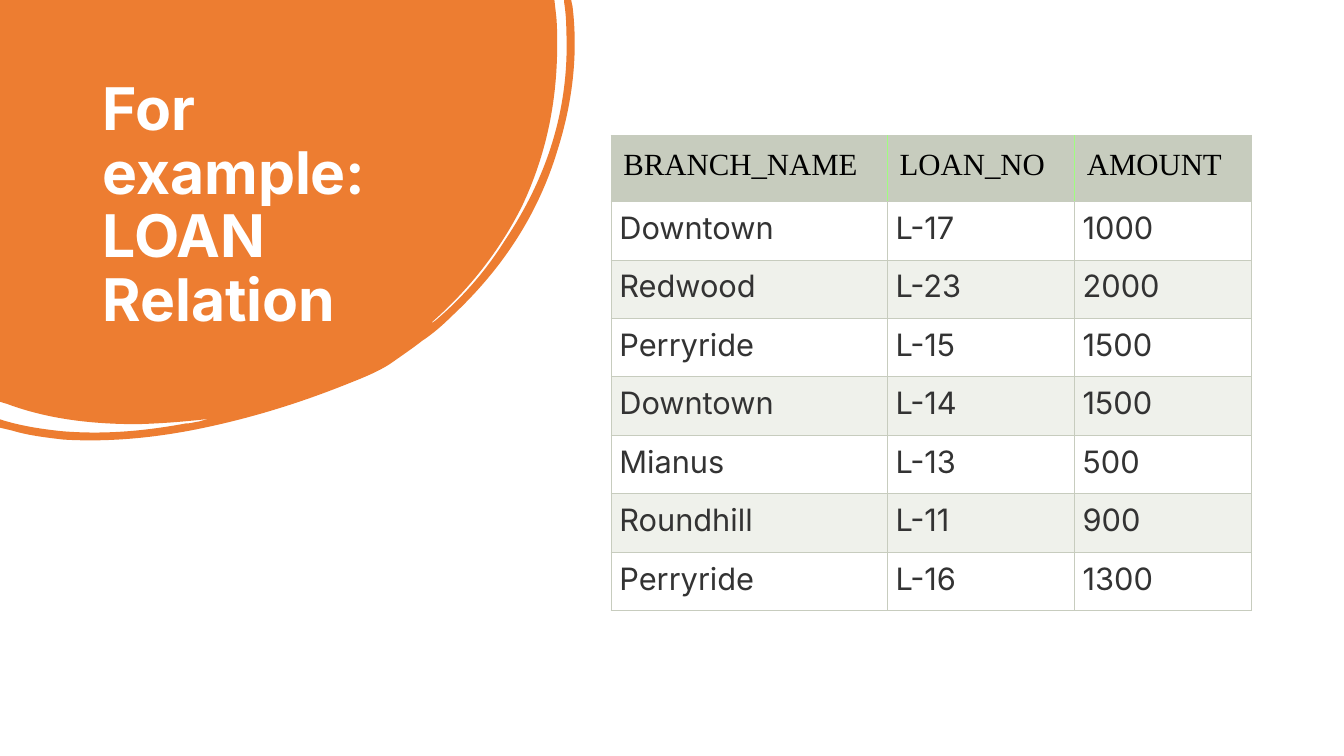
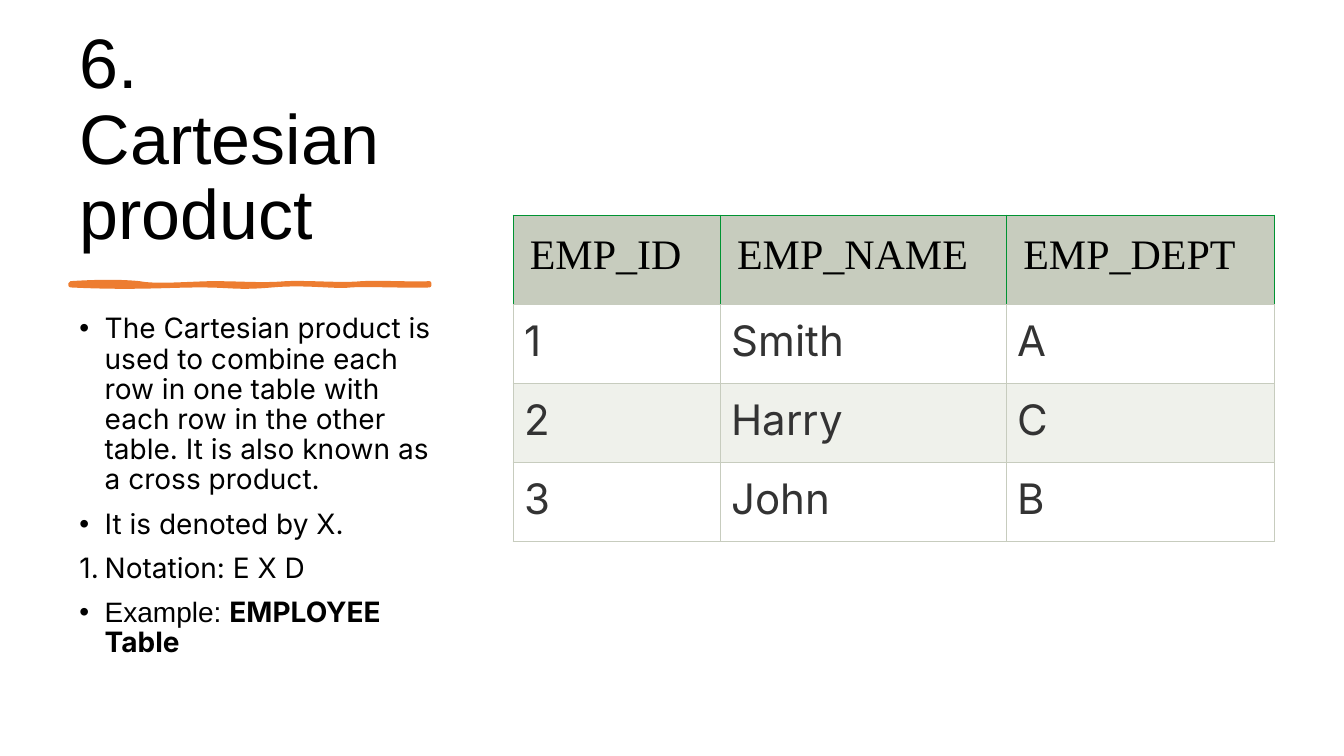
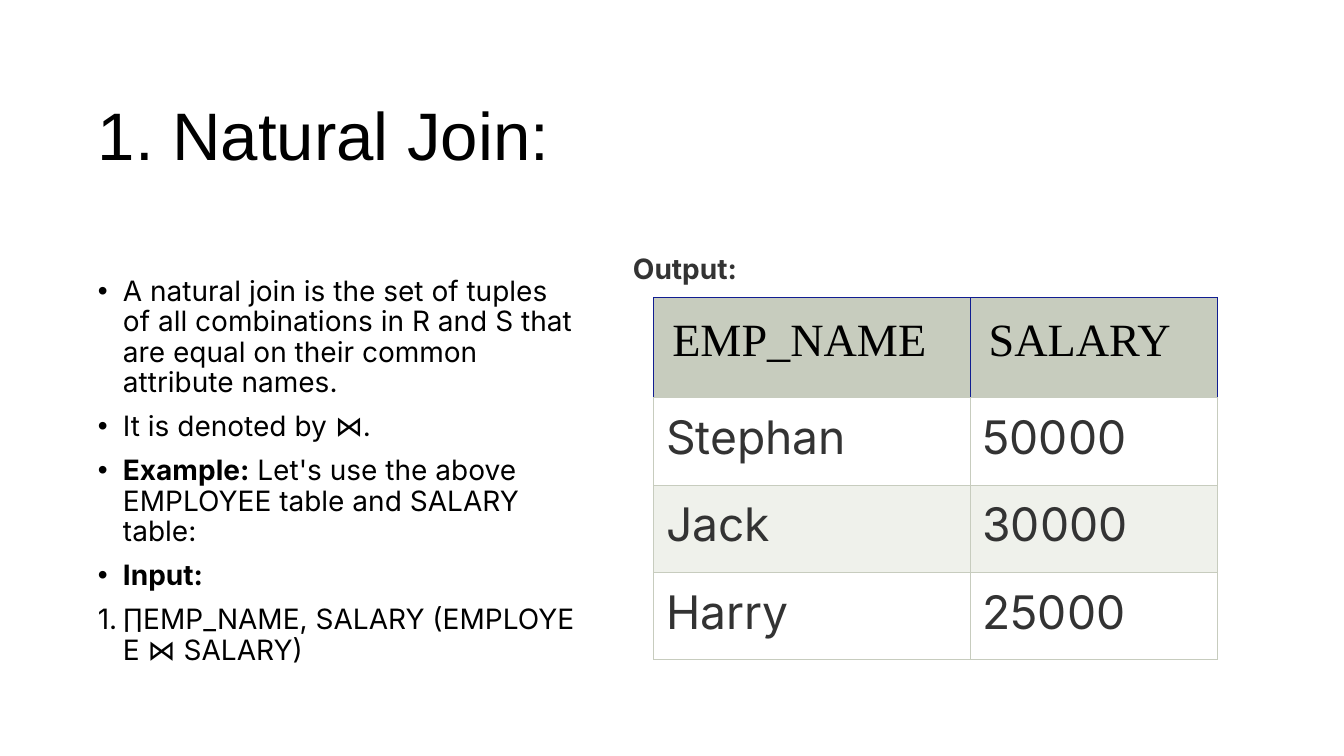
"""Builds three slides on relations, the Cartesian product and the natural join."""
from lxml.etree import SubElement
from pptx import Presentation
from pptx.dml.color import RGBColor
from pptx.enum.shapes import MSO_SHAPE
from pptx.enum.text import MSO_ANCHOR, MSO_AUTO_SIZE, PP_ALIGN
from pptx.oxml.ns import qn
from pptx.util import Pt

ORANGE = RGBColor(0xED, 0x7D, 0x31)
WHITE = RGBColor(0xFF, 0xFF, 0xFF)
BLACK = RGBColor(0, 0, 0)
GREY = RGBColor(0x33, 0x33, 0x33)
SAGE = RGBColor(0xC7, 0xCC, 0xBE)
PALE = RGBColor(0xEF, 0xF1, 0xEB)
LIME = RGBColor(0xA0, 0xFD, 0x80)
GREEN = RGBColor(0x00, 0x93, 0x32)
NAVY = RGBColor(0x10, 0x1D, 0x91)
SANS, ARIAL, SERIF = "Inter", "Arial", "Times New Roman"
HARD = chr(160)

BLOB = [
    (0, 0), (396, 0), (397.4, 12.2),
    (398, 19, 398, 26, 398, 32), (398, 73, 390, 111, 373, 147),
    (357, 179, 335, 207, 307.5, 231), (309, 231, 309.5, 229.5, 311, 229),
    (330.5, 212.5, 347, 193.5, 360.5, 172), (391, 126.5, 407, 77, 404.5, 21.5),
    (404.5, 15, 404, 8.5, 403, 2), (403, 0), (408, 0), (409, 5),
    (413, 39, 409, 73.5, 398, 108), (384, 154, 358, 193, 322.5, 226),
    (316, 232.5, 309, 238.5, 301.5, 243.5), (294.5, 249, 287, 254, 278.5, 260),
    (270, 265.5, 259, 270, 247.5, 274.5), (215, 287.5, 181.5, 298, 146, 305.5),
    (113, 312.5, 79, 316, 45.5, 314), (32.5, 312.5, 20, 311, 8.5, 307.5),
    (0, 305.5), (0, 299.5), (3, 300.5),
    (16.5, 304.5, 30, 306.5, 44, 308), (74, 310.5, 103, 308, 132.5, 302.5),
    (136, 302.5, 139, 301.5, 142.5, 301), (145.5, 300, 148.5, 299.5, 151, 299),
    (134, 301, 116, 302.5, 98, 303), (66, 303, 34.5, 299.5, 5, 288.5), (0, 287),
]
STROKE = [
    (50.4, 202.3),
    (70, 201, 87, 201, 99.4, 202.3), (111.6, 204.5, 127.4, 203, 150.5, 202.3),
    (173.5, 202.3, 187, 203.8, 204.5, 202.3), (222, 201.6, 244, 203.8, 258.5, 202.3),
    (273, 201.6, 296.6, 203, 306.7, 202.3), (306.7, 203.8),
    (293.8, 204.5, 262, 203, 250.6, 203.8), (239, 205.2, 219, 201.6, 194.4, 203.8),
    (169, 206, 166, 203.8, 143.3, 203.8), (119.5, 203.8, 95, 206, 50.4, 203.8),
]


def put(item, **vals):
    """Set each named value on the item."""
    for key, val in vals.items():
        setattr(item, key, val)


def write(para, text, size, name, color, bold=False):
    """Add a run with its font to a paragraph."""
    run = para.add_run()
    run.text = text
    put(run.font, size=Pt(size), name=name, bold=bold)
    run.font.color.rgb = color


def paint(shape, color, width=0):
    """Give a shape a flat fill and an optional line of the same colour."""
    shape.shadow.inherit = False
    shape.fill.solid()
    shape.fill.fore_color.rgb = color
    if width:
        shape.line.color.rgb = color
        shape.line.width = Pt(width)
    else:
        shape.line.fill.background()


def bend(shape, parts):
    """Turn the straight segments that have control points into curves."""
    lines = list(shape.element.iter(qn("a:lnTo")))
    for line, part in zip(lines, parts):
        if len(part) == 2:
            continue
        line.tag = qn("a:cubicBezTo")
        line.clear()
        for x, y in zip(part[::2], part[1::2]):
            SubElement(line, qn("a:pt"), x=str(Pt(x) - shape.left), y=str(Pt(y) - shape.top))


def draw(slide, parts, width=0):
    """Draw an orange outline behind the title."""
    dots = [(Pt(part[-2]), Pt(part[-1])) for part in parts]
    pen = slide.shapes.build_freeform(*dots[0])
    pen.add_line_segments(dots[1:], close=True)
    shape = pen.convert_to_shape()
    bend(shape, parts[1:])
    paint(shape, ORANGE, width)
    slide.shapes.title.element.addprevious(shape.element)


def head(slide, text, box, size, name=ARIAL, color=BLACK, bold=False,
         anchor=MSO_ANCHOR.BOTTOM):
    """Place and format the title."""
    title = slide.shapes.title
    left, top, width, height = map(Pt, box)
    put(title, left=left, top=top, width=width, height=height)
    put(title.text_frame, word_wrap=True, auto_size=MSO_AUTO_SIZE.NONE,
        vertical_anchor=anchor)
    para = title.text_frame.paragraphs[0]
    put(para, alignment=PP_ALIGN.LEFT, line_spacing=0.9)
    write(para, text, size, name, color, bold)


def mark(para, number):
    """Give a paragraph a hanging bullet or number."""
    props = para._p.get_or_add_pPr()
    props.set("marL", str(Pt(18)))
    props.set("indent", str(Pt(-18)))
    if number:
        SubElement(props, qn("a:buAutoNum"), type="arabicPeriod")
    else:
        SubElement(props, qn("a:buFont"), typeface=ARIAL)
        SubElement(props, qn("a:buChar"), char="•")


def points(slide, box, items):
    """Write a list of items, each a number flag and its runs."""
    frame = slide.shapes.add_textbox(*map(Pt, box)).text_frame
    frame.word_wrap = True
    for i, (number, *runs) in enumerate(items):
        para = frame.add_paragraph() if i else frame.paragraphs[0]
        mark(para, number)
        put(para, line_spacing=0.9, space_before=Pt(10 if i else 0))
        for text, name, bold in runs:
            line = text.replace(" ", HARD) if number else text
            write(para, line, 20, name, BLACK, bold)


def edge(cell, colors):
    """Draw the left, right, top and bottom borders of a cell."""
    props = cell._tc.get_or_add_tcPr()
    for i, (side, color) in enumerate(zip("LRTB", colors)):
        line = SubElement(props, qn("a:ln" + side), w=str(Pt(0.6)))
        props.insert(i, line)
        fill = SubElement(line, qn("a:solidFill"))
        SubElement(fill, qn("a:srgbClr"), val=str(color))


def grid(slide, spot, cols, tall, rows, size, pad, rim, seam):
    """Build a table with a tinted head row and striped body rows."""
    heights = [tall[0]] + [tall[1]] * (len(rows) - 1)
    area = map(Pt, (*spot, sum(cols), sum(heights)))
    table = slide.shapes.add_table(len(rows), len(cols), *area).table
    for col, width in zip(table.columns, cols):
        col.width = Pt(width)
    for r, (row, height) in enumerate(zip(rows, heights)):
        table.rows[r].height = Pt(height)
        for c, text in enumerate(row):
            cell = table.cell(r, c)
            gap = Pt(pad if r else pad * 1.5)
            put(cell, margin_left=gap, margin_right=gap, margin_top=gap, margin_bottom=gap)
            cell.fill.solid()
            cell.fill.fore_color.rgb = (PALE if r % 2 == 0 else WHITE) if r else SAGE
            para = cell.text_frame.paragraphs[0]
            para.alignment = PP_ALIGN.JUSTIFY if r else PP_ALIGN.LEFT
            write(para, text, size, SANS if r else SERIF, GREY if r else BLACK)
            left = seam if c else rim
            right = seam if c < len(cols) - 1 else rim
            edge(cell, [SAGE] * 4 if r else [left, right, rim, SAGE])


def label(slide, text, box):
    """Add a bold label on a white block."""
    block = slide.shapes.add_shape(MSO_SHAPE.RECTANGLE, *map(Pt, box))
    paint(block, WHITE)
    put(block.text_frame, word_wrap=True, vertical_anchor=MSO_ANCHOR.MIDDLE)
    para = block.text_frame.paragraphs[0]
    put(para, alignment=PP_ALIGN.JUSTIFY, space_after=Pt(6))
    write(para, text, 20, SANS, GREY, True)


def loan(slide):
    """Fill the loan relation slide."""
    draw(slide, BLOB)
    head(slide, "For example: LOAN Relation", (66, 53.5, 253.5, 160), 42,
         SANS, WHITE, True, MSO_ANCHOR.TOP)
    rows = [
        ("BRANCH_NAME", "LOAN_NO", "AMOUNT"),
        ("Downtown", "L-17", "1000"),
        ("Redwood", "L-23", "2000"),
        ("Perryride", "L-15", "1500"),
        ("Downtown", "L-14", "1500"),
        ("Mianus", "L-13", "500"),
        ("Roundhill", "L-11", "900"),
        ("Perryride", "L-16", "1300"),
    ]
    grid(slide, (436.5, 96.6), (197.3, 133.7, 126.5), (47.4, 41.75), rows, 22, 5.9,
         SAGE, LIME)


def product(slide):
    """Fill the Cartesian product slide."""
    head(slide, "6. Cartesian product", (49.7, 50.4, 270, 135.4), 50)
    draw(slide, STROKE, 3)
    points(slide, (49.7, 221.2, 270, 268.5), [
        (False, ("The Cartesian product is used to combine each row in one table with "
                 "each row in the other table. It is also known as a cross product.",
                 SANS, False)),
        (False, ("It is denoted by X.", SANS, False)),
        (True, ("Notation: E X D", SANS, False)),
        (False, ("Example: ", ARIAL, False), ("EMPLOYEE Table", SANS, True)),
    ])
    rows = [
        ("EMP_ID", "EMP_NAME", "EMP_DEPT"),
        ("1", "Smith", "A"),
        ("2", "Harry", "C"),
        ("3", "John", "B"),
    ]
    grid(slide, (366.5, 153.5), (148, 204.5, 191), (63.9, 56.5), rows, 30, 8,
         GREEN, GREEN)


def join(slide):
    """Fill the natural join slide."""
    head(slide, "1. Natural Join:", (62.6, 26.6, 792.7, 102.2), 48)
    points(slide, (62.8, 194.6, 357, 282), [
        (False, ("A natural join is the set of tuples of all combinations in R and S "
                 "that are equal on their common attribute names.", SANS, False)),
        (False, ("It is denoted by ⋈.", SANS, False)),
        (False, ("Example:", SANS, True),
         (" Let's use the above EMPLOYEE table and SALARY table:", SANS, False)),
        (False, ("Input:", SANS, True)),
        (True, ("∏EMP_NAME, SALARY (EMPLOYEE ⋈ SALARY)", SANS, False)),
    ])
    rows = [
        ("EMP_NAME", "SALARY"),
        ("Stephan", "50000"),
        ("Jack", "30000"),
        ("Harry", "25000"),
    ]
    grid(slide, (467, 212.4), (226, 176.5), (71.5, 62.5), rows, 33, 8.8, NAVY, NAVY)
    label(slide, "Output:", (445, 176, 149.8, 31.7))


def main():
    """Build and save the deck."""
    deck = Presentation()
    put(deck, slide_width=Pt(960), slide_height=Pt(540))
    for fill in (loan, product, join):
        fill(deck.slides.add_slide(deck.slide_layouts[5]))
    deck.save("out.pptx")


if __name__ == "__main__":
    main()
